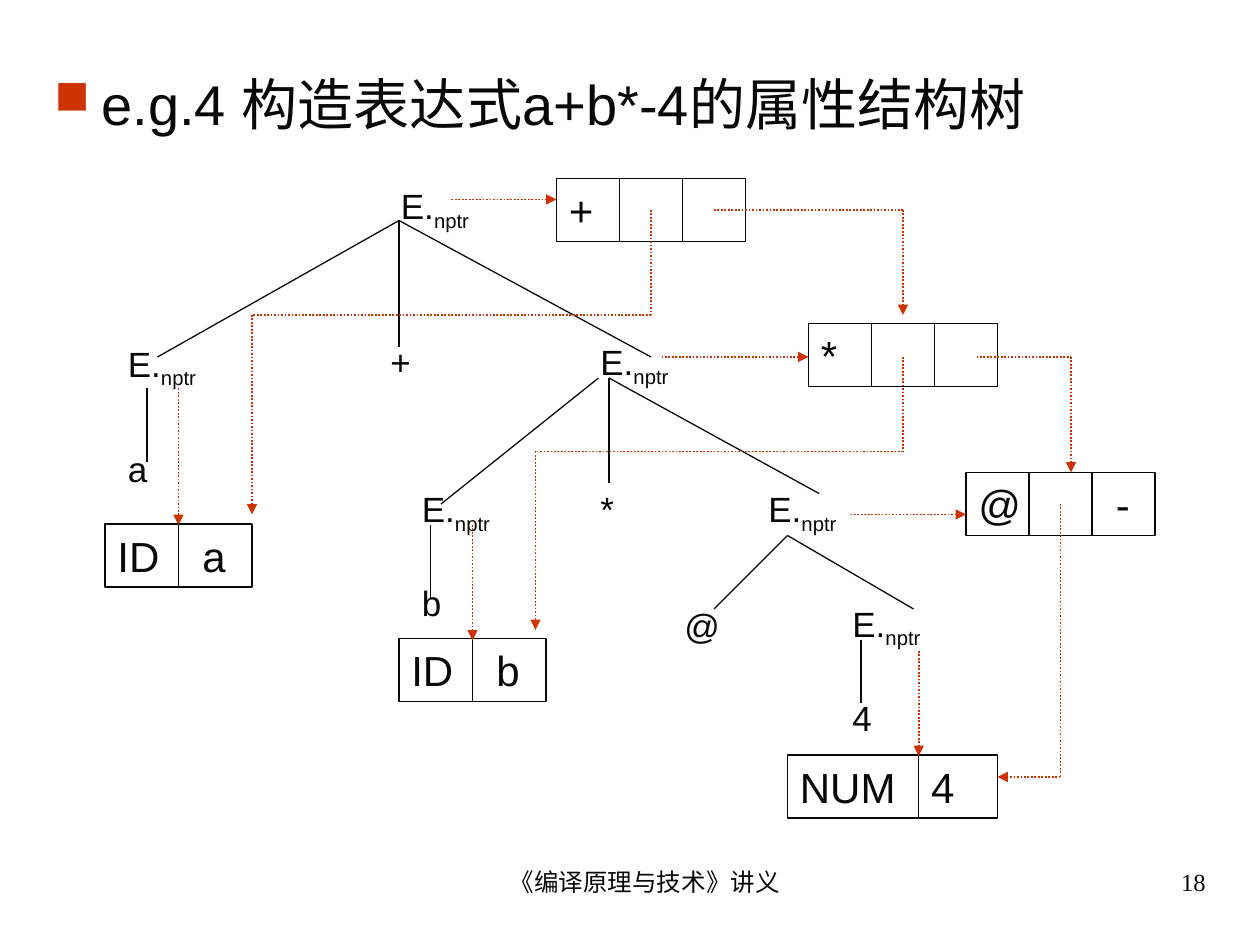
import pptx
import pptx.dml.color
import pptx.enum.dml
import pptx.enum.shapes
import pptx.enum.text
import pptx.oxml.ns
import pptx.util
from lxml import etree

Pt = pptx.util.Pt
Align = pptx.enum.text.PP_ALIGN
INK = pptx.dml.color.RGBColor(0x08, 0x08, 0x08)
ACCENT = pptx.dml.color.RGBColor(0xCC, 0x33, 0x00)


def add_tag(parent, tag, **attributes):
    return etree.SubElement(parent, pptx.oxml.ns.qn(tag), attributes)


class TreeSlide:
    sans, serif = "Arial", "Times New Roman"
    cell_height = 36

    def __init__(self, page):
        self.page = page

    def set_text(self, frame, spans, size, font=sans, align=Align.LEFT, before=0, margin=0, hanging=0):
        """Fill a text frame; each span is (text, is_subscript)."""
        frame.word_wrap = True
        frame.vertical_anchor = pptx.enum.text.MSO_ANCHOR.TOP
        para = frame.paragraphs[0]
        para.alignment = align
        para.space_before = Pt(before)
        properties = para._p.get_or_add_pPr()
        properties.set("marL", str(Pt(margin)))
        properties.set("indent", str(Pt(-hanging)))
        for text, is_subscript in spans:
            span = para.add_run()
            span.text = text
            span.font.size = Pt(size)
            span.font.name = font
            span.font.color.rgb = INK
            if is_subscript:
                span.font._element.set("baseline", "-25000")
        return properties

    def text(self, left, top, width, height, spans, size, **style):
        box = self.page.shapes.add_textbox(Pt(left), Pt(top), Pt(width), Pt(height))
        return self.set_text(box.text_frame, spans, size, **style)

    def title(self, text):
        properties = self.text(24, 36, 672, 444, [(text, False)], 32,
                               before=8, margin=27, hanging=27)
        color = add_tag(properties, "a:buClr")
        add_tag(color, "a:srgbClr", val=str(ACCENT))
        add_tag(properties, "a:buSzPct", val="85000")
        add_tag(properties, "a:buChar", char="■")

    def node(self, left, top, symbol):
        spans = [("E.", False), ("nptr", True)] if symbol == "E" else [(symbol, False)]
        self.text(left, top, 72, 34 if symbol == "E" else 32, spans, 20, before=12.5)

    def line(self, start, end, color=INK, weight=0.74):
        connector = self.page.shapes.add_connector(
            pptx.enum.shapes.MSO_CONNECTOR.STRAIGHT, *map(Pt, start + end))
        connector.line.color.rgb = color
        connector.line.width = Pt(weight)
        add_tag(connector._element.spPr, "a:effectLst")
        return connector

    def pointer(self, *stops):
        """Dotted path through the stops, with an arrowhead at the last one."""
        for start, end in zip(stops, stops[1:]):
            segment = self.line(start, end, ACCENT, 0.99)
            segment.line.dash_style = pptx.enum.dml.MSO_LINE.ROUND_DOT
            if end == stops[-1]:
                add_tag(segment.line._get_or_add_ln(), "a:tailEnd", type="triangle")

    def record(self, left, top, cells):
        """Row of adjoining cells, each given as (text, width)."""
        group = self.page.shapes.add_group_shape()
        for text, width in cells:
            cell = group.shapes.add_shape(pptx.enum.shapes.MSO_SHAPE.RECTANGLE,
                                          Pt(left), Pt(top), Pt(width), Pt(self.cell_height))
            cell.shadow.inherit = False
            cell.fill.background()
            cell.line.color.rgb = INK
            cell.line.width = Pt(0.74)
            if text:
                self.set_text(cell.text_frame, [(text, False)], 24, before=15)
            left += width


deck = pptx.Presentation()
deck.slide_width, deck.slide_height = Pt(720), Pt(540)
slide = TreeSlide(deck.slides.add_slide(deck.slide_layouts[6]))

slide.title("e.g.4 构造表达式a+b*-4的属性结构树")

# Syntax tree nodes
for left, top, symbol in [
    (222, 102, "E"), (66, 192, "E"), (336, 191, "E"), (216, 191, "+"),
    (234, 275, "E"), (432, 275, "E"), (336, 275, "*"), (66, 252, "a"),
    (234, 329, "b"), (384, 342, "@"), (480, 340.5, "E"), (480, 394.5, "4"),
]:
    slide.node(left, top, symbol)

# Syntax tree branches
for start, ends in [
    ((228, 126), [(90, 204), (228, 198), (372, 204)]),
    ((84, 222), [(84, 264)]),
    ((342, 216), [(252, 288)]),
    ((348, 216), [(348, 276), (468, 282)]),
    ((450, 306), [(408, 348), (522, 348)]),
    ((246, 300), [(246, 342)]),
    ((492, 366), [(492, 402)]),
]:
    for end in ends:
        slide.line(start, end)

# Records of the structure tree
for left, top, cells in [
    (60, 299.5, [("ID", 42), (" a", 42)]),
    (228, 365, [("ID", 42), (" b", 42)]),
    (450, 431.5, [("NUM", 75), ("4", 45)]),
    (552, 270, [("@", 36), ("", 36), (" -", 36)]),
    (462, 185, [("*", 36), ("", 36), ("", 36)]),
    (318, 102, [("+", 36), ("", 36), ("", 36)]),
]:
    slide.record(left, top, cells)

# Pointers from nodes to records, then between records
for stops in [
    [(102, 222), (102, 300)],
    [(270, 300), (270, 366)],
    [(525, 372), (525, 432)],
    [(486, 294), (552, 294)],
    [(378, 204), (462, 204)],
    [(258, 114), (318, 114)],
    [(606, 288), (606, 444), (570, 444)],
    [(558, 204), (612, 204), (612, 270)],
    [(516, 204), (516, 258), (306, 258), (306, 360)],
    [(408, 120), (516, 120), (516, 180)],
    [(372, 120), (372, 180), (144, 180), (144, 294)],
]:
    slide.pointer(*stops)

# Footer and page number
for left, width, text, align in [
    (246, 228, "《编译原理与技术》讲义", Align.CENTER),
    (516, 180, "18", Align.RIGHT),
]:
    slide.text(left, 492, width, 37.5, [(text, False)], 14,
               font=TreeSlide.serif, align=align, margin=17)

deck.save("out.pptx")
